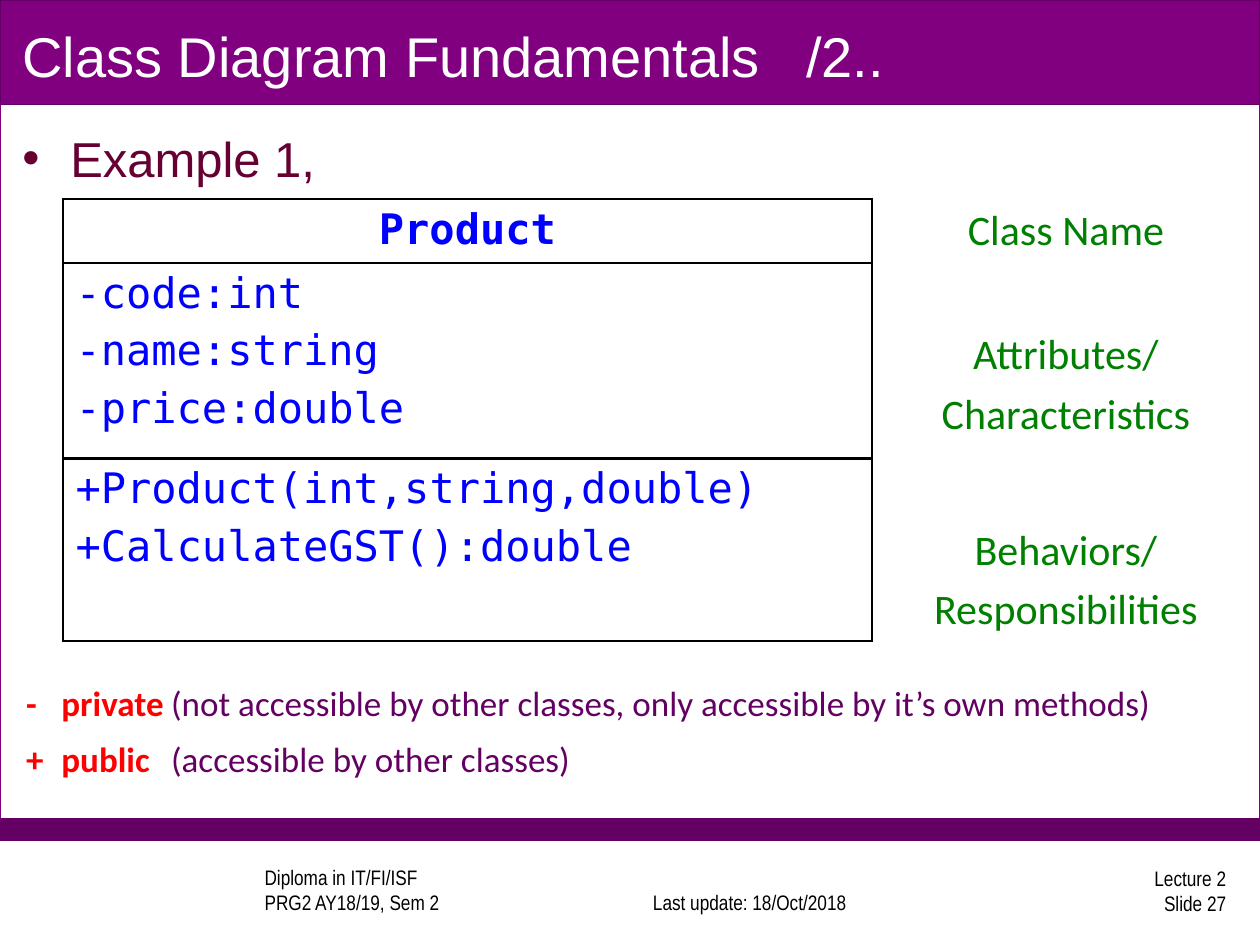
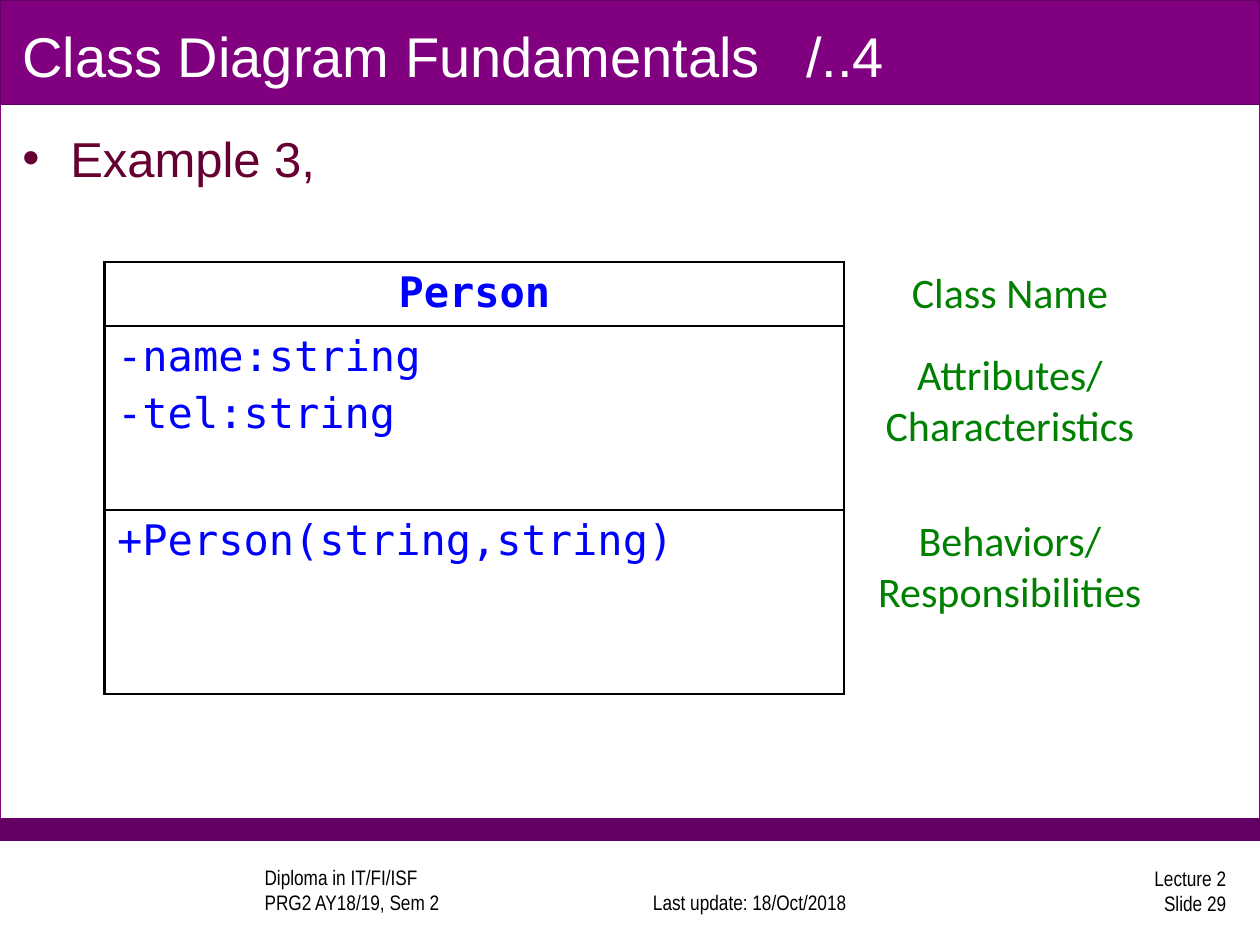
from dataclasses import dataclass

from pptx import Presentation
from pptx.dml.color import RGBColor
from pptx.enum.shapes import MSO_SHAPE
from pptx.enum.text import MSO_ANCHOR, PP_ALIGN
from pptx.oxml.ns import qn
from pptx.util import Inches, Pt
from lxml.etree import SubElement


@dataclass(frozen=True)
class Theme:
    band: str = "800080"
    rule: str = "640064"
    paper: str = "FFFFFF"
    ink: str = "000000"
    heading: str = "660033"
    code: str = "0000FF"
    label: str = "008000"
    symbol: str = "FF0000"
    sans: str = "Arial"
    narrow: str = "Arial Narrow"
    body: str = "Calibri"
    mono: str = "DejaVu Sans Mono"
    title_size: float = 32
    heading_size: float = 28
    table_size: float = 24
    legend_size: float = 20
    footer_size: float = 12
    border: float = 1.5
    hairline: float = 0.75


THEME = Theme()


@dataclass(frozen=True)
class Box:
    left: float
    top: float
    width: float
    height: float

    def inches(self):
        return [Inches(side) for side in (self.left, self.top, self.width, self.height)]


def style(name, size, color, bold=False):
    return {"name": name, "size": Pt(size), "bold": bold, "color": color}


TITLE = style(THEME.sans, THEME.title_size, THEME.paper)
HEADING = style(THEME.sans, THEME.heading_size, THEME.heading)
FOOTER = style(THEME.narrow, THEME.footer_size, THEME.ink)
CODE = style(THEME.mono, THEME.table_size, THEME.code)
CLASS_NAME = {**CODE, "bold": True}
LABEL = style(THEME.body, THEME.table_size, THEME.label)
LEGEND = style(THEME.body, THEME.legend_size, THEME.rule)
SYMBOL = {**LEGEND, "color": THEME.symbol, "bold": True}

# Spacing before a table line: a fifth of the type size
LINE_GAP = Pt(THEME.table_size * 0.2)


# Text helpers
def add_span(para, text, look):
    for index, line in enumerate(text.split("\n")):
        if index:
            para.add_line_break()
        span = para.add_run()
        span.text = line
        for name, value in look.items():
            if name == "color":
                span.font.color.rgb = RGBColor.from_string(value)
            else:
                setattr(span.font, name, value)


def write(frame, paragraphs, **formats):
    """Each paragraph is a list of (text, style) spans."""
    for index, spans in enumerate(paragraphs):
        para = frame.add_paragraph() if index else frame.paragraphs[0]
        for name, value in formats.items():
            setattr(para, name, value)
        for text, look in spans:
            add_span(para, text, look)


def add_text(page, box, paragraphs, anchor=MSO_ANCHOR.TOP, **formats):
    frame = page.shapes.add_textbox(*box.inches()).text_frame
    frame.word_wrap = True
    frame.vertical_anchor = anchor
    write(frame, paragraphs, **formats)
    return frame


def set_tabs(para, stops):
    tabs = SubElement(para._p.get_or_add_pPr(), qn("a:tabLst"))
    for stop in stops:
        SubElement(tabs, qn("a:tab"), pos=str(Inches(stop)), algn="l")


def set_bullet(para, indent):
    properties = para._p.get_or_add_pPr()
    properties.set("marL", str(Inches(indent)))
    properties.set("indent", str(-Inches(indent)))
    SubElement(properties, qn("a:buFont"), typeface=THEME.sans)
    SubElement(properties, qn("a:buChar"), char="•")


# Slide frame
def add_band(page, box, fill, line, opacity=100):
    band = page.shapes.add_shape(MSO_SHAPE.RECTANGLE, *box.inches())
    band.shadow.inherit = False
    band.fill.solid()
    band.fill.fore_color.rgb = RGBColor.from_string(fill)
    band.line.color.rgb = RGBColor.from_string(line)
    band.line.width = Pt(THEME.hairline)
    if opacity < 100:
        color = band._element.spPr.find(qn("a:solidFill"))[0]
        SubElement(color, qn("a:alpha"), val=str(opacity * 1000))


def add_footer(page, box, number):
    def part(left, top, width):
        return Box(box.left + left, box.top + top, width, box.height)

    course = add_text(page, part(0, 0.03, 3.17),
                      [[("Diploma in IT/FI/ISF\nPRG2 AY18/19, Sem 2", FOOTER)]],
                      MSO_ANCHOR.BOTTOM)
    course.margin_left = Inches(0.6)
    add_text(page, part(3.41, 0.03, 2.08), [[("Last update: 18/Oct/2018", FOOTER)]],
             MSO_ANCHOR.BOTTOM, alignment=PP_ALIGN.CENTER)
    add_text(page, part(6.25, 0, 2.08), [[(f"Lecture 2\nSlide {number}", FOOTER)]],
             MSO_ANCHOR.MIDDLE, alignment=PP_ALIGN.RIGHT)


def add_frame(page, box, part, heading, number):
    def band(top, height):
        return Box(box.left, box.top + top, box.width, height)

    add_band(page, band(0, 6.67), THEME.paper, THEME.band, opacity=90)
    add_band(page, band(6.5, 0.17), THEME.rule, THEME.rule)
    add_band(page, band(0, 0.83), THEME.band, THEME.rule)
    add_footer(page, Box(box.left + 1.5, box.top + 6.86, 8.33, 0.42), number)

    left, width = box.left + 0.08, box.width - 0.17
    title = add_text(page, Box(left, box.top + 0.13, width, 0.62),
                     [[(f"Class Diagram Fundamentals\t{part}", TITLE)]], MSO_ANCHOR.MIDDLE)
    set_tabs(title.paragraphs[0], [6.22])
    example = add_text(page, Box(left, box.top + 0.97, width, 0.6), [[(heading, HEADING)]])
    set_bullet(example.paragraphs[0], 0.38)


# Class diagram
def set_borders(cell, visible):
    properties = cell._tc.get_or_add_tcPr()
    for side in "LRTB":
        line = SubElement(properties, qn(f"a:ln{side}"), w=str(Pt(THEME.border)))
        if side in visible:
            fill = SubElement(line, qn("a:solidFill"))
            SubElement(fill, qn("a:srgbClr"), val=THEME.ink)
        else:
            SubElement(line, qn("a:noFill"))


def add_class_diagram(page, box, class_width, rows, label_gap):
    """Each row holds height, lines, line style, alignment, label and label offset."""
    table = page.shapes.add_table(len(rows), 2, *box.inches()).table
    table.first_row = table.horz_banding = False
    for column, width in zip(table.columns, (class_width, box.width - class_width)):
        column.width = Inches(width)
    for index, (height, lines, look, align, label, offset) in enumerate(rows):
        table.rows[index].height = Inches(height)
        member, caption = table.cell(index, 0), table.cell(index, 1)
        for cell, visible in ((member, "LRTB"), (caption, "L")):
            set_borders(cell, visible)
            cell.fill.background()
        write(member.text_frame, [[(line, look)] for line in lines],
              alignment=align, space_before=LINE_GAP)
        caption.margin_top = Inches(offset)
        write(caption.text_frame, [[(line, LABEL)] for line in label],
              alignment=PP_ALIGN.CENTER, space_before=label_gap)


def class_rows(name, attributes, methods, heights, offsets):
    center, left = PP_ALIGN.CENTER, PP_ALIGN.LEFT
    parts = (
        ([name], CLASS_NAME, center, ["Class Name"]),
        (attributes, CODE, left, ["Attributes/", "Characteristics"]),
        (methods, CODE, left, ["Behaviors/", "Responsibilities"]),
    )
    return [(height, *part, offset) for height, part, offset in zip(heights, parts, offsets)]


# Access symbols
def add_legend(page, box):
    entries = (
        ("-\tprivate\t", "(not accessible by other classes, only accessible by it’s own methods)"),
        ("+\tpublic\t", "(accessible by other classes)"),
    )
    frame = add_text(page, box, [[(term, SYMBOL), (meaning, LEGEND)] for term, meaning in entries],
                     line_spacing=0.9, space_before=Pt(THEME.legend_size / 2))
    for para in frame.paragraphs:
        set_tabs(para, [0.28, 1.15])


# Slides
def product_slide(page, box):
    add_frame(page, box, "/2..", "Example 1,", 27)
    rows = class_rows("Product", ["-code:int", "-name:string", "-price:double"],
                      ["+Product(int,string,double)", "+CalculateGST():double"],
                      (0.51, 1.55, 1.45), (0.05, 0.53, 0.53))
    add_class_diagram(page, Box(box.left + 0.5, box.top + 1.58, 9.5, 3.51), 6.42, rows, LINE_GAP)
    add_legend(page, Box(box.left + 0.11, box.top + 5.4, 9.33, 1.08))


def person_slide(page, box):
    add_frame(page, box, "/..4", "Example 3,", 29)
    rows = class_rows("Person", ["-name:string", "-tel:string"], ["+Person(string,string)"],
                      (0.51, 1.46, 1.46), (0.05, 0.19, 0.05))
    add_class_diagram(page, Box(box.left + 0.83, box.top + 2.08, 8.5, 3.43), 5.87, rows, Pt(0))


def main():
    deck = Presentation()
    canvas = Box(0, 0, 10, 7.5)
    deck.slide_width, deck.slide_height = Inches(canvas.width), Inches(canvas.height)
    for build in (product_slide, person_slide):
        build(deck.slides.add_slide(deck.slide_layouts[6]), canvas)
    deck.save("out.pptx")


if __name__ == "__main__":
    main()
